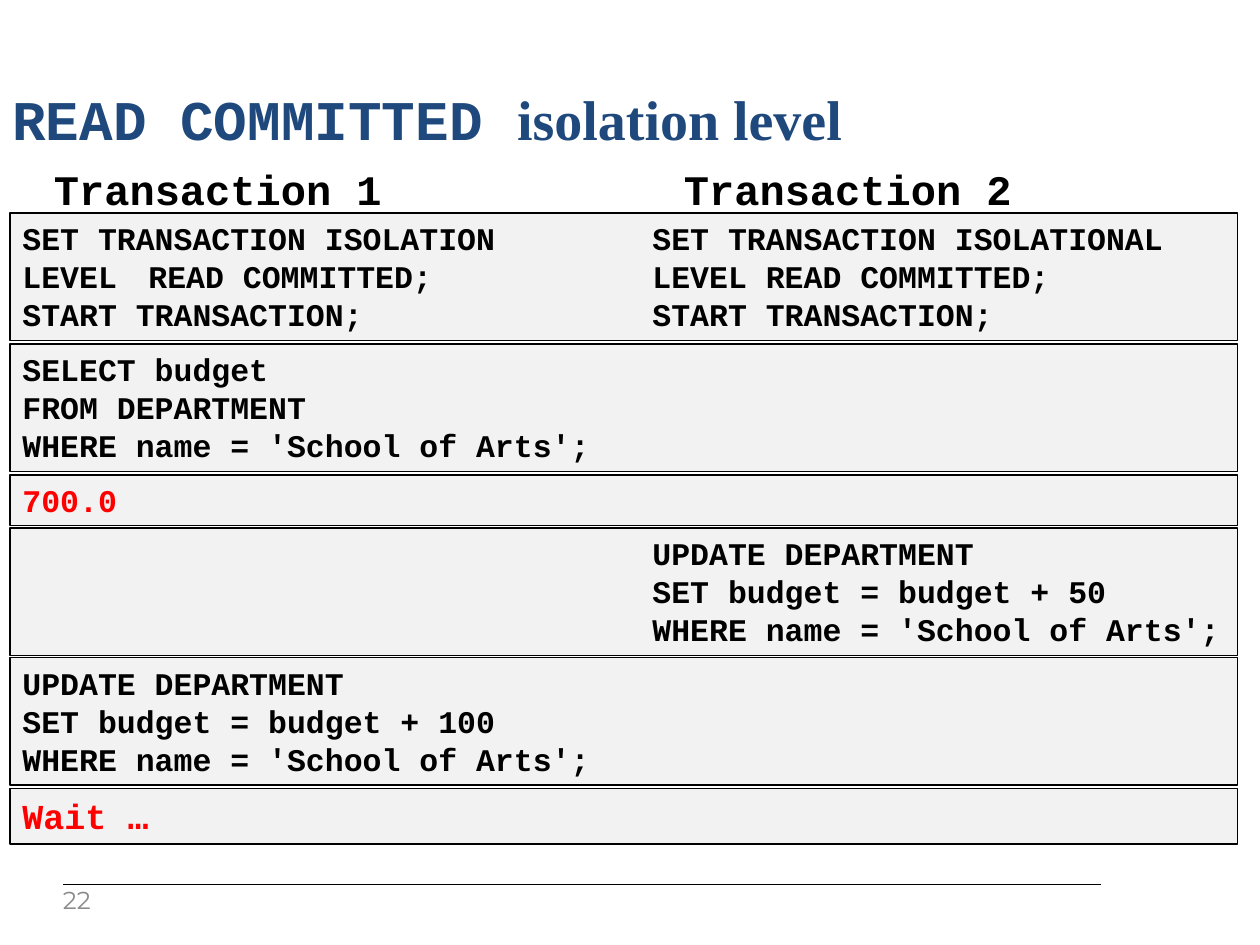
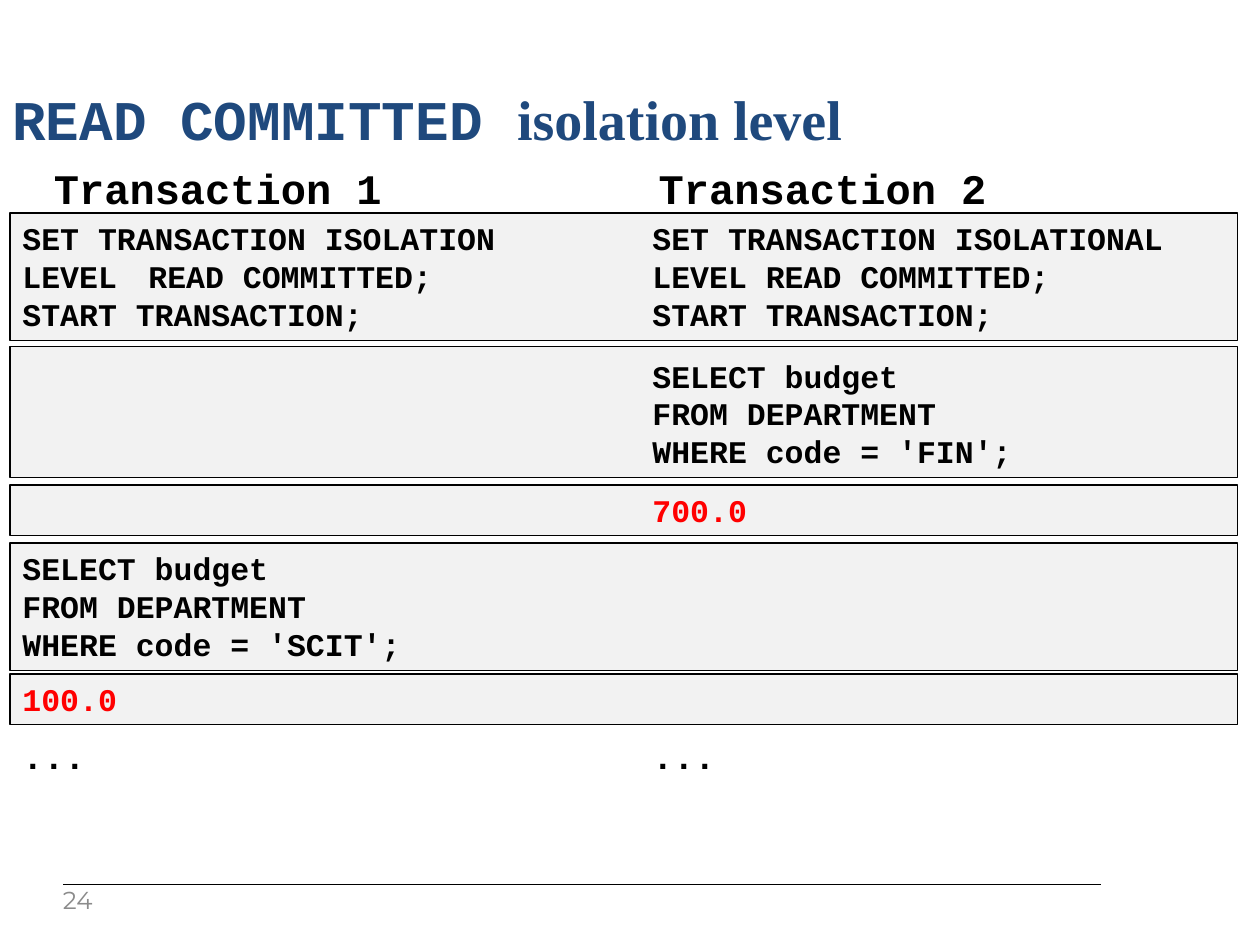
from lxml.etree import SubElement
from pptx import Presentation
from pptx.dml.color import RGBColor
from pptx.enum.shapes import MSO_CONNECTOR, MSO_SHAPE
from pptx.enum.text import MSO_ANCHOR, MSO_AUTO_SIZE, PP_ALIGN
from pptx.oxml.ns import qn
from pptx.util import Inches, Pt

BLACK, RED, NAVY, GREY, PANEL = "000000", "FF0000", "1F497D", "8B8B8B", "F2F2F2"
CODE_FONT, TITLE_FONT, NUMBER_FONT = "Courier New", "Times New Roman", "Montserrat"
ROW_LEFT, ROW_WIDTH, INSET = 0.08, 9.74, 0.05
SECOND_COLUMN = 5

TITLE = [("READ COMMITTED ", CODE_FONT), ("isolation level", TITLE_FONT)]
HEADINGS = "Transaction 1\tTransaction 2"
START = {
    "top": 1.69,
    "left": ["SET TRANSACTION ISOLATION", "LEVEL\tREAD COMMITTED;", "START TRANSACTION;"],
    "right": ["SET TRANSACTION ISOLATIONAL", "LEVEL READ COMMITTED;", "START TRANSACTION;"],
}


def select(condition):
    return ["SELECT budget", "FROM DEPARTMENT", f"WHERE {condition};"]


def update(amount):
    return ["UPDATE DEPARTMENT", f"SET budget = budget + {amount}",
            "WHERE name = 'School of Arts';"]


SLIDES = [
    {"number": "22", "headings_top": 1.25, "headings_tab": 5, "rows": [
        START,
        {"top": 2.73, "left": select("name = 'School of Arts'")},
        {"top": 3.77, "left": ["700.0"], "color": RED},
        {"top": 4.19, "right": update(50)},
        {"top": 5.22, "left": update(100)},
        {"top": 6.26, "left": ["Wait …"], "color": RED, "size": 20},
    ]},
    {"number": "24", "headings_top": 1.24, "headings_tab": 4.8, "rows": [
        START,
        {"top": 2.75, "right": select("code = 'FIN'"), "extra": 0.03},
        {"top": 3.85, "right": ["700.0"], "color": RED},
        {"top": 4.31, "left": select("code = 'SCIT'")},
        {"top": 5.35, "left": ["100.0"], "color": RED},
        {"top": 5.78, "left": ["..."], "right": ["..."], "size": 20, "panel": False},
    ]},
]


def rgb(color):
    return RGBColor.from_string(color)


def add_run(paragraph, text, color, **font_values):
    run = paragraph.add_run()
    run.text = text
    run.font.color.rgb = rgb(color)
    for name, value in font_values.items():
        setattr(run.font, name, value)


def set_tabs(paragraph, stops):
    tab_list = SubElement(paragraph._p.get_or_add_pPr(), qn("a:tabLst"))
    for stop in stops:
        SubElement(tab_list, qn("a:tab"), pos=str(Inches(stop)), algn="l")


def format_frame(frame, **values):
    for name, value in {"word_wrap": True, **values}.items():
        setattr(frame, name, value)


def add_text_box(slide, left, top, width, height, **frame_values):
    box = slide.shapes.add_textbox(*map(Inches, (left, top, width, height)))
    format_frame(box.text_frame, **frame_values)
    return box


def add_row(slide, top, left=(), right=(), color=BLACK, size=18, extra=0, panel=True):
    """Add one step: statements of transaction 1 at left, of transaction 2 at the tab."""
    count = max(len(left), len(right))
    height = round(2 * INSET + extra + count * 0.303 * size / 18, 2)
    place = (ROW_LEFT, top, ROW_WIDTH, height)
    if panel:
        shape = slide.shapes.add_shape(MSO_SHAPE.RECTANGLE, *map(Inches, place))
        shape.shadow.inherit = False
        shape.fill.solid()
        shape.fill.fore_color.rgb = rgb(PANEL)
        shape.line.color.rgb = rgb(BLACK)
        shape.line.width = Pt(0.75)
    else:
        shape = add_text_box(slide, *place)
    frame = shape.text_frame
    format_frame(frame, auto_size=MSO_AUTO_SIZE.SHAPE_TO_FIT_TEXT,
                 vertical_anchor=MSO_ANCHOR.TOP, margin_top=Inches(INSET + extra))
    for index in range(count):
        paragraph = frame.add_paragraph() if index else frame.paragraphs[0]
        paragraph.alignment = PP_ALIGN.LEFT
        first = left[index] if left else ""
        text = f"{first}\t{right[index]}" if right else first
        if "\t" in text:
            set_tabs(paragraph, ([1] if "\t" in first else []) + [SECOND_COLUMN])
        add_run(paragraph, text, color, name=CODE_FONT, size=Pt(size), bold=True)


def add_footer(slide, number):
    rule = slide.shapes.add_connector(
        MSO_CONNECTOR.STRAIGHT, *map(Inches, (0.5, 7.02, 8.74, 7.02)))
    rule.line.color.rgb = rgb(BLACK)
    rule.line.width = Pt(0.75)
    SubElement(rule._element.spPr, qn("a:effectLst"))
    box = add_text_box(slide, 0.5, 7.06, 0.4, 0.21, vertical_anchor=MSO_ANCHOR.MIDDLE,
                       margin_left=0, margin_top=0)
    add_run(box.text_frame.paragraphs[0], number, GREY, name=NUMBER_FONT, size=Pt(14))


def add_headers(slide, headings_top, headings_tab):
    title = add_text_box(slide, 0, 0.62, 10, 0.67)
    for text, font in TITLE:
        add_run(title.text_frame.paragraphs[0], text, NAVY, name=font, size=Pt(32), bold=True)
    headings = add_text_box(slide, 0.33, headings_top, 9.33, 0.5,
                            auto_size=MSO_AUTO_SIZE.SHAPE_TO_FIT_TEXT)
    paragraph = headings.text_frame.paragraphs[0]
    set_tabs(paragraph, [headings_tab])
    add_run(paragraph, HEADINGS, BLACK, name=CODE_FONT, size=Pt(24), bold=True)


def main():
    presentation = Presentation()
    presentation.slide_width, presentation.slide_height = Inches(10), Inches(7.5)
    for content in SLIDES:
        slide = presentation.slides.add_slide(presentation.slide_layouts[6])
        add_headers(slide, content["headings_top"], content["headings_tab"])
        for row in content["rows"]:
            add_row(slide, **row)
        add_footer(slide, content["number"])
    presentation.save("out.pptx")


if __name__ == "__main__":
    main()
